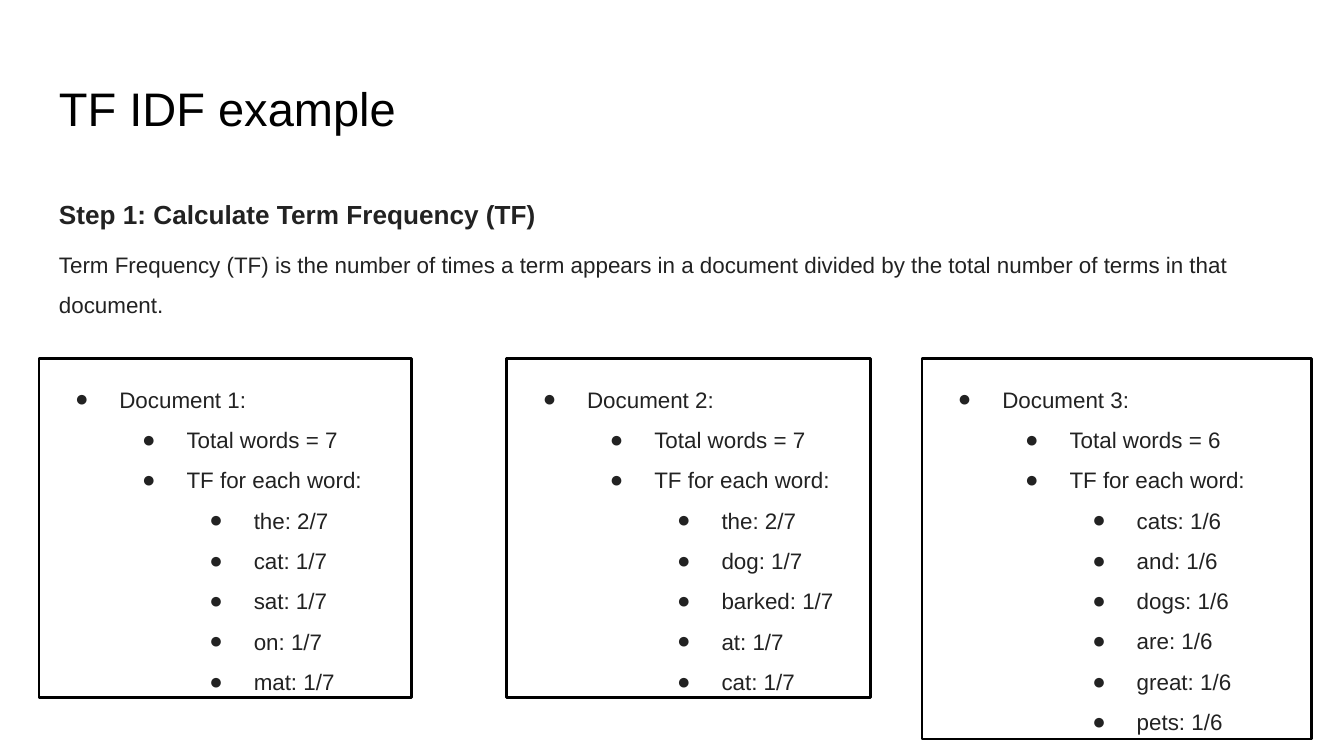
from lxml.etree import SubElement
from pptx import Presentation
from pptx.dml.color import RGBColor
from pptx.enum.shapes import MSO_SHAPE
from pptx.enum.text import MSO_ANCHOR, MSO_AUTO_SIZE, PP_ALIGN
from pptx.oxml.ns import qn
from pptx.util import Inches, Pt


def color(code):
    return RGBColor.from_string(code)


def write(shape, lines):
    frame = shape.text_frame
    frame.word_wrap = True
    frame.vertical_anchor = MSO_ANCHOR.TOP
    frame.margin_left = frame.margin_right = Inches(0.1)
    frame.margin_top = frame.margin_bottom = Inches(0.1)
    for i, (text, size, bold, shade, space, level) in enumerate(lines):
        par = frame.paragraphs[0] if i == 0 else frame.add_paragraph()
        par.text = text
        par.alignment = PP_ALIGN.LEFT
        par.line_spacing = space
        if level is not None:
            par.level = level
            props = par._p.get_or_add_pPr()
            props.set("marL", str(Inches(0.5 * (level + 1))))
            props.set("indent", str(Inches(-0.33)))
            tint = SubElement(props, qn("a:buClr"))
            SubElement(tint, qn("a:srgbClr")).set("val", shade)
            SubElement(props, qn("a:buSzPts")).set("val", str(size * 100))
            SubElement(props, qn("a:buFont")).set("typeface", "Arial")
            SubElement(props, qn("a:buChar")).set("char", "●")
        par.font.name = "Arial"
        par.font.size = Pt(size)
        par.font.bold = bold
        par.font.color.rgb = color(shade)
    return frame


deck = Presentation()
deck.slide_width = Inches(10)
deck.slide_height = Inches(10) * 9 // 16
slide = deck.slides.add_slide(deck.slide_layouts[6])

title = slide.shapes.add_textbox(Inches(0.34), Inches(0.49), Inches(9.32), Inches(0.63))
write(title, [("TF IDF example", 25.2, False, "000000", 1, None)])

body = slide.shapes.add_textbox(Inches(0.34), Inches(1.26), Inches(9.32), Inches(3.74))
frame = write(body, [
    ("Step 1: Calculate Term Frequency (TF)", 14, True, "222222", 1.5, None),
    ("Term Frequency (TF) is the number of times a term appears in a document "
     "divided by the total number of terms in that document.",
     12, False, "222222", 1.5, None),
])
frame.paragraphs[1].space_before = Pt(4)

docs = [
    (0.29, 2.77, 2.52, 7, ["the: 2", "cat: 1", "sat: 1", "on: 1", "mat: 1"]),
    (3.77, 2.71, 2.52, 7, ["the: 2", "dog: 1", "barked: 1", "at: 1", "cat: 1"]),
    (6.86, 2.9, 2.83, 6, ["cats: 1", "and: 1", "dogs: 1", "are: 1", "great: 1", "pets: 1"]),
]
for num, (left, width, height, total, terms) in enumerate(docs, 1):
    box = slide.shapes.add_shape(
        MSO_SHAPE.RECTANGLE, Inches(left), Inches(2.67), Inches(width), Inches(height))
    box.shadow.inherit = False
    box.fill.background()
    box.line.color.rgb = color("000000")
    box.line.width = Pt(1.5)
    items = [(f"Document {num}:", 0), (f"Total words = {total}", 1), ("TF for each word:", 1)]
    items += [(f"{term}/{total}", 2) for term in terms]
    frame = write(box, [(text, 12, False, "222222", 1.5, level) for text, level in items])
    frame.auto_size = MSO_AUTO_SIZE.SHAPE_TO_FIT_TEXT

deck.save("out.pptx")
